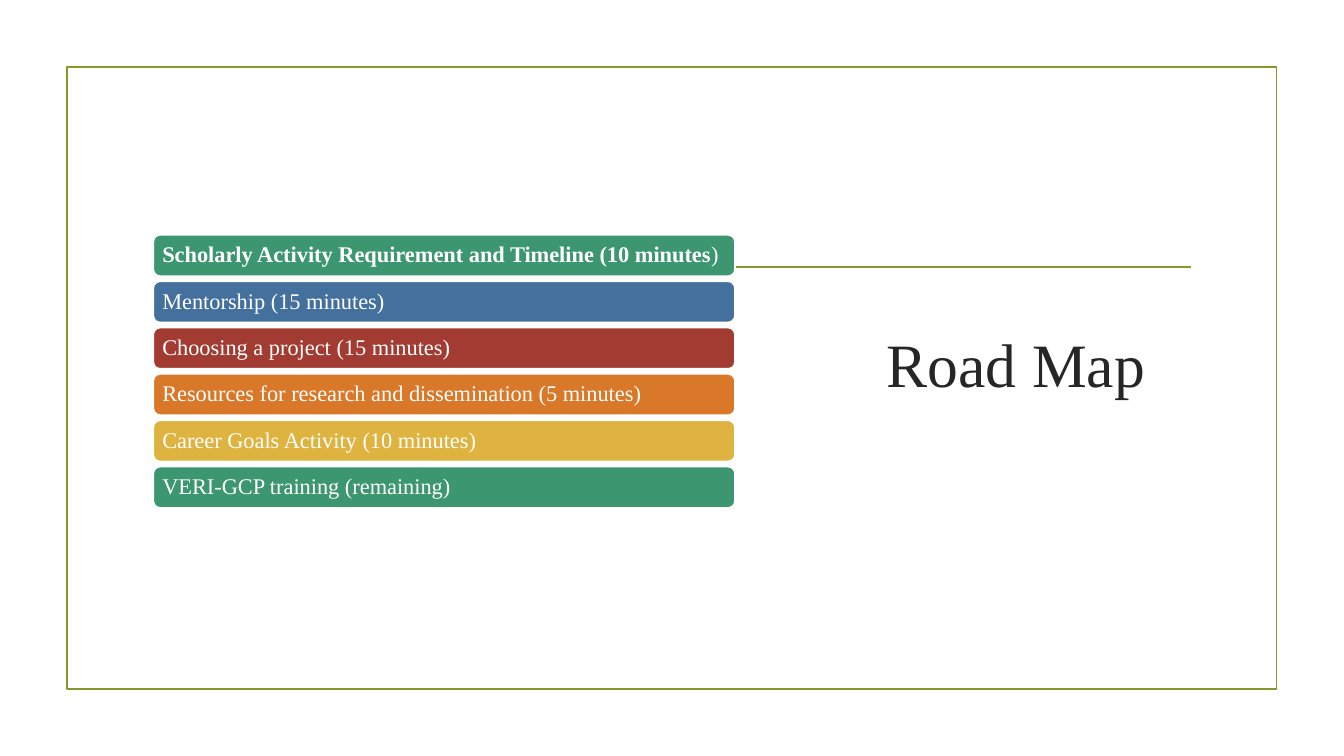
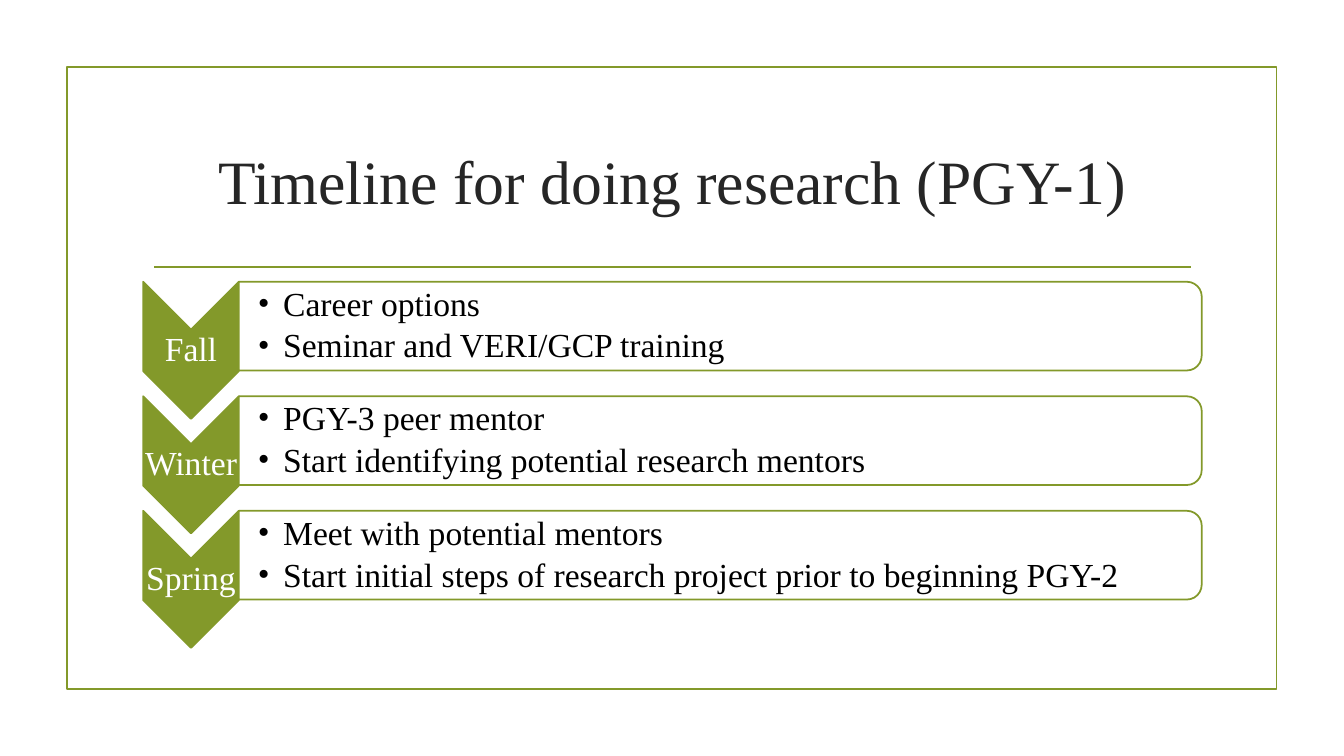
import pptx
import pptx.dml.color
import pptx.enum.shapes
import pptx.enum.text
import pptx.oxml
import pptx.oxml.ns
import pptx.util

RGBColor = pptx.dml.color.RGBColor
MSO_SHAPE = pptx.enum.shapes.MSO_SHAPE
ALIGN = pptx.enum.text.PP_ALIGN

OLIVE = RGBColor(0x83, 0x99, 0x2A)
GREEN = RGBColor(0x3C, 0x97, 0x70)
BLUE = RGBColor(0x44, 0x70, 0x9D)
RED = RGBColor(0xA2, 0x3C, 0x33)
ORANGE = RGBColor(0xD9, 0x78, 0x28)
YELLOW = RGBColor(0xDE, 0xB3, 0x40)
CHARCOAL = RGBColor(0x26, 0x26, 0x26)
BLACK = RGBColor(0, 0, 0)
WHITE = RGBColor(0xFF, 0xFF, 0xFF)

FONT = "Times New Roman"
LINE_WIDTH = pptx.util.Pt(1.25)

presentation = pptx.Presentation()
presentation.slide_width = pptx.util.Inches(13.33)
presentation.slide_height = pptx.util.Inches(7.5)

# Grid of 100 columns by 100 rows
COLUMN = presentation.slide_width / 100
ROW = presentation.slide_height / 100

# Text styles: font values, paragraph values, colour and insets in inches
TITLE = {
    "font": {"name": FONT, "size": pptx.util.Pt(44)},
    "paragraph": {"alignment": ALIGN.CENTER, "line_spacing": 1.0},
    "color": CHARCOAL, "insets": (0.1, 0.05, 0.1, 0.05),
}
AGENDA = {
    "font": {"name": FONT, "size": pptx.util.Pt(16)},
    "paragraph": {"alignment": ALIGN.LEFT, "line_spacing": 0.9},
    "color": WHITE, "insets": (0.07, 0.07, 0.07, 0.07),
}
SEASON = {
    "font": {"name": FONT, "size": pptx.util.Pt(24)},
    "paragraph": {"alignment": ALIGN.CENTER, "line_spacing": 0.9},
    "color": WHITE, "insets": (0, 0.02, 0, 0.02),
}
STEPS = {
    "font": {"name": FONT, "size": pptx.util.Pt(24)},
    "paragraph": {"alignment": ALIGN.LEFT, "line_spacing": 0.9,
                  "space_after": pptx.util.Pt(4)},
    "color": BLACK, "insets": (0.19, 0.02, 0.02, 0.02), "bullet": "•",
}


def add_box(slide, kind, left, top, width, height, fill=None, line=OLIVE, turned=False):
    """Add a shape that covers the given grid area, turned a quarter if asked."""
    x, y, w, h = left * COLUMN, top * ROW, width * COLUMN, height * ROW
    if turned:
        x, y, w, h = x + (w - h) / 2, y + (h - w) / 2, h, w
    shape = slide.shapes.add_shape(kind, int(x), int(y), int(w), int(h))
    shape.rotation = 90 if turned else 0
    shape.shadow.inherit = False
    if fill is None:
        shape.fill.background()
    else:
        shape.fill.solid()
        shape.fill.fore_color.rgb = fill
    shape.line.color.rgb = line
    shape.line.width = LINE_WIDTH
    return shape


def write(slide, area, lines, style, shape=None):
    """Write lines, each a list of (text, bold) runs, in a shape or a new text box."""
    if shape is None:
        left, top, width, height = area
        shape = slide.shapes.add_textbox(
            int(left * COLUMN), int(top * ROW), int(width * COLUMN), int(height * ROW))
    frame = shape.text_frame
    frame.word_wrap = True
    frame.vertical_anchor = pptx.enum.text.MSO_ANCHOR.MIDDLE
    for side, inset in zip(("left", "top", "right", "bottom"), style["insets"]):
        setattr(frame, "margin_" + side, pptx.util.Inches(inset))
    for index, runs in enumerate(lines):
        paragraph = frame.add_paragraph() if index else frame.paragraphs[0]
        for name, value in style["paragraph"].items():
            setattr(paragraph, name, value)
        if "bullet" in style:
            properties = paragraph._p.get_or_add_pPr()
            indent = pptx.util.Inches(0.25)
            properties.set("marL", str(indent))
            properties.set("indent", str(-indent))
            for element in (f'buFont {{}} typeface="{FONT}"',
                            f'buChar {{}} char="{style["bullet"]}"'):
                properties.append(pptx.oxml.parse_xml(
                    f'<a:{element.format(pptx.oxml.ns.nsdecls("a"))}/>'))
        for text, bold in runs:
            run = paragraph.add_run()
            run.text = text
            run.font.bold = bold
            run.font.color.rgb = style["color"]
            for name, value in style["font"].items():
                setattr(run.font, name, value)


# Shared frame, rule and title
slides = []
for title, title_area in (
    ("Road Map", (61.8, 14.27, 27.6, 67.47)),
    ("Timeline for doing research (PGY-1)", (10.65, 14.27, 78.77, 19.07)),
):
    slide = presentation.slides.add_slide(presentation.slide_layouts[6])
    add_box(slide, MSO_SHAPE.RECTANGLE, 4.98, 8.9, 90, 82.27)
    rule = slide.shapes.add_connector(
        pptx.enum.shapes.MSO_CONNECTOR.STRAIGHT,
        int(11.48 * COLUMN), int(35.33 * ROW), int(88.6 * COLUMN), int(35.33 * ROW))
    rule.line.color.rgb = OLIVE
    rule.line.width = LINE_WIDTH
    rule._element.spPr.append(pptx.oxml.parse_xml(
        f'<a:effectLst {pptx.oxml.ns.nsdecls("a")}/>'))
    write(slide, title_area, [[(title, False)]], TITLE)
    slides.append(slide)
road_map, timeline = slides

# Road map: one bar per part of the session
agenda = (
    (GREEN, [("Scholarly Activity Requirement and Timeline (10 minutes", True), (")", False)]),
    (BLUE, [("Mentorship (15 minutes)", False)]),
    (RED, [("Choosing a project (15 minutes)", False)]),
    (ORANGE, [("Resources for research and dissemination (5 minutes)", False)]),
    (YELLOW, [("Career Goals Activity (10 minutes)", False)]),
    (GREEN, [("VERI-GCP training (remaining)", False)]),
)
for index, (color, runs) in enumerate(agenda):
    bar = add_box(road_map, MSO_SHAPE.ROUNDED_RECTANGLE,
                  11.4, 31.07 + index * 6.13, 43.29, 5.47, color, WHITE)
    write(road_map, None, [runs], AGENDA, bar)

# Timeline: a chevron and a panel of steps per season
seasons = (
    ("Fall", ("Career options", "Seminar and VERI/GCP training")),
    ("Winter", ("PGY-3 peer mentor", "Start identifying potential research mentors")),
    ("Spring", ("Meet with potential mentors",
                "Start initial steps of research project prior to beginning PGY-2")),
)
CHEVRON_LEFT, CHEVRON_WIDTH = 10.65, 7.12
PANEL_LEFT = CHEVRON_LEFT + CHEVRON_WIDTH
for index, (season, steps) in enumerate(seasons):
    top = 37.27 + index * 15.15
    add_box(timeline, MSO_SHAPE.CHEVRON, CHEVRON_LEFT, top, CHEVRON_WIDTH, 18.13,
            OLIVE, turned=True)
    write(timeline, (CHEVRON_LEFT, top + 6.33, CHEVRON_WIDTH, 5.47),
          [[(season, False)]], SEASON)
    panel = (PANEL_LEFT, top, 71.64, 11.73)
    add_box(timeline, MSO_SHAPE.ROUND_2_SAME_RECTANGLE, *panel, WHITE, turned=True)
    write(timeline, panel, [[(step, False)] for step in steps], STEPS)

presentation.save("out.pptx")
